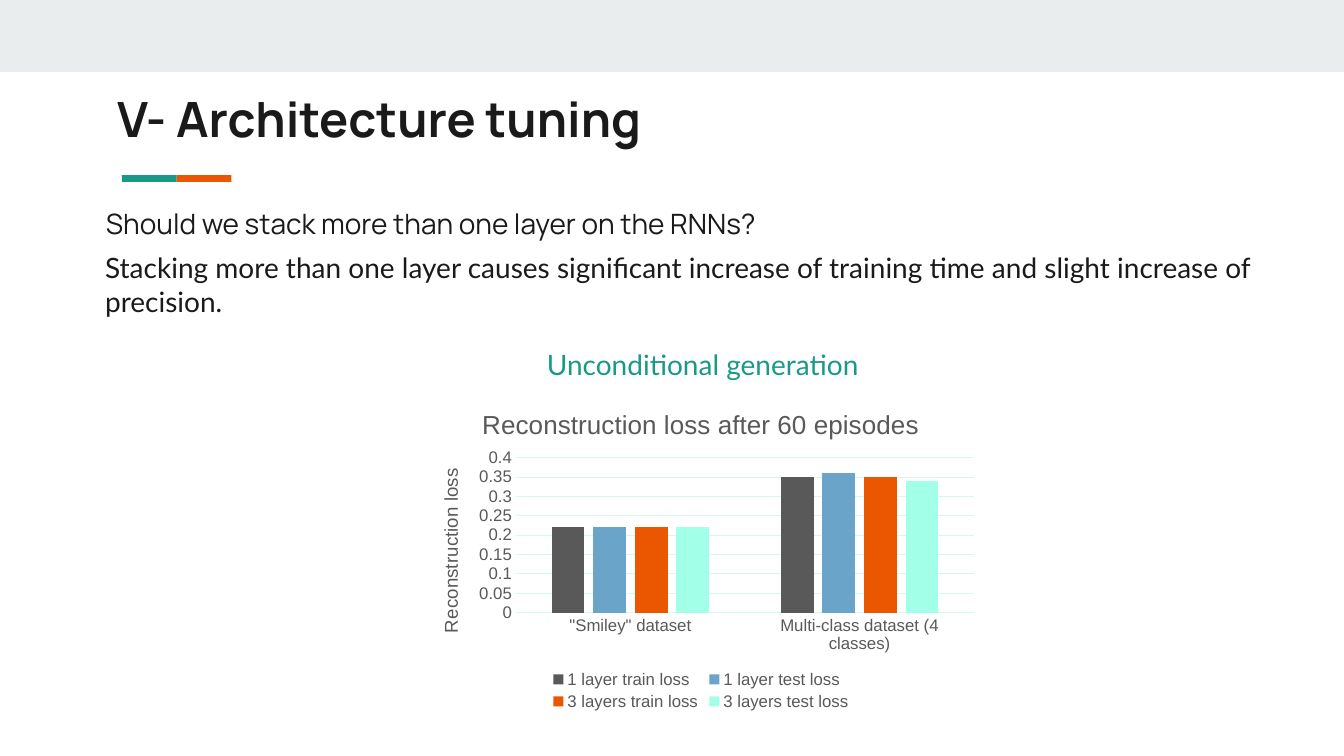
from dataclasses import dataclass

from lxml import etree
from pptx import Presentation
from pptx.chart.data import CategoryChartData
from pptx.dml.color import RGBColor
from pptx.enum.chart import XL_CHART_TYPE, XL_LEGEND_POSITION, XL_TICK_MARK
from pptx.enum.shapes import MSO_SHAPE
from pptx.enum.text import MSO_ANCHOR, PP_ALIGN
from pptx.oxml.ns import qn
from pptx.util import Cm, Pt

CLUSTERED = XL_CHART_TYPE.COLUMN_CLUSTERED
LEGEND_BOTTOM = XL_LEGEND_POSITION.BOTTOM
NO_TICK = XL_TICK_MARK.NONE
RECTANGLE = MSO_SHAPE.RECTANGLE
LEFT, CENTER = PP_ALIGN.LEFT, PP_ALIGN.CENTER
TOP, MIDDLE = MSO_ANCHOR.TOP, MSO_ANCHOR.MIDDLE
TITLE_ONLY = 5


@dataclass(frozen=True)
class Theme:
    """Colours, fonts and type sizes of the deck."""
    band: str = "E9EDEE"
    teal: str = "1A9988"
    orange: str = "EB5600"
    ink: str = "1A1A1A"
    grey: str = "595959"
    blue: str = "6AA4C8"
    mint: str = "A2FFE8"
    grid: str = "D5F8F3"
    heading: str = "Manrope"
    body: str = "Lato"
    chart: str = "Arial"
    title_size: float = 34.7
    body_size: float = 20
    chart_title_size: float = 18.6
    axis_title_size: float = 13.3
    label_size: float = 12


THEME = Theme()
CATEGORIES = ['"Smiley" dataset', "Multi-class dataset (4 classes)"]
LOSSES = [
    ("1 layer train loss", (0.22, 0.35), THEME.grey),
    ("1 layer test loss", (0.22, 0.36), THEME.blue),
    ("3 layers train loss", (0.22, 0.35), THEME.orange),
    ("3 layers test loss", (0.22, 0.34), THEME.mint),
]
PLOT_AREA = {"x": 0.175, "y": 0.207, "w": 0.805, "h": 0.479}
ACCENT_GRID = (2.96, 0.07)


def apply(target, values):
    """Set each named attribute on the target."""
    for name, value in values.items():
        setattr(target, name, value)


def style_font(font, name, size, color, bold=False):
    """Format a font."""
    apply(font, {"name": name, "size": Pt(size), "bold": bold})
    font.color.rgb = RGBColor.from_string(color)


def place(shape, box):
    """Move a shape to a box given in centimetres."""
    apply(shape, dict(zip(("left", "top", "width", "height"), map(Cm, box))))


def add_bar(owner, box, color):
    """Draw a plain filled rectangle on a page or in a group."""
    bar = owner.shapes.add_shape(RECTANGLE, *map(Cm, box))
    bar.shadow.inherit = False
    bar.fill.solid()
    bar.fill.fore_color.rgb = RGBColor.from_string(color)
    bar.line.fill.background()
    return bar


def add_accent(page, box):
    """Draw the two-colour rule as a scaled group of upright bars turned flat."""
    group = page.shapes.add_group_shape()
    span, thickness = ACCENT_GRID
    length = span / 2
    for index, color in ((1, THEME.orange), (0, THEME.teal)):
        left = (index + 0.5) * length - thickness / 2
        bar = add_bar(group, (left, (thickness - length) / 2, thickness, length), color)
        bar.rotation = 270
    place(group, box)
    frame = group._element.grpSpPr.find(qn("a:xfrm"))
    for tag, names, values in (("a:chOff", "xy", (0, 0)),
                               ("a:chExt", ("cx", "cy"), ACCENT_GRID)):
        for name, value in zip(names, values):
            frame.find(qn(tag)).set(name, str(int(Cm(value))))


def fill_text(shape, text, font, size, color, bold=False, align=LEFT, anchor=TOP):
    """Write one formatted paragraph into a shape."""
    frame = shape.text_frame
    apply(frame, {"word_wrap": True, "vertical_anchor": anchor})
    para = frame.paragraphs[0]
    para.alignment = align
    span = para.add_run()
    span.text = text
    style_font(span.font, font, size, color, bold)


def add_title(page, box, text):
    """Fill the title placeholder."""
    title = page.shapes.title
    place(title, box)
    margins = ("margin_left", "margin_top", "margin_right", "margin_bottom")
    apply(title.text_frame, dict.fromkeys(margins, Cm(0.25)))
    fill_text(title, text, THEME.heading, THEME.title_size, THEME.ink, True, anchor=MIDDLE)


def add_text(page, box, text, font, color, align=LEFT):
    """Add a body-sized text box."""
    shape = page.shapes.add_textbox(*map(Cm, box))
    fill_text(shape, text, font, THEME.body_size, color, align=align)


def write_chart_title(title, text, size):
    """Write the title of a chart or an axis."""
    span = title.text_frame.paragraphs[0].add_run()
    span.text = text
    style_font(span.font, THEME.chart, size, THEME.grey)


def set_plot_area(chart):
    """Fix the inner plot area as fractions of the chart."""
    area = chart._chartSpace.chart.plotArea
    for layout in area.findall(qn("c:layout")):
        area.remove(layout)
    layout = etree.Element(qn("c:layout"))
    area.insert(0, layout)
    manual = etree.SubElement(layout, qn("c:manualLayout"))
    values = {"layoutTarget": "inner", "xMode": "edge", "yMode": "edge", **PLOT_AREA}
    for name, value in values.items():
        etree.SubElement(manual, qn(f"c:{name}")).set("val", str(value))


def style_axes(chart):
    """Format both axes and the gridlines."""
    category, value = chart.category_axis, chart.value_axis
    for axis in (category, value):
        apply(axis, {"major_tick_mark": NO_TICK, "minor_tick_mark": NO_TICK})
        style_font(axis.tick_labels.font, THEME.chart, THEME.label_size, THEME.grey)
    apply(value, {"minimum_scale": 0, "maximum_scale": 0.4, "major_unit": 0.05})
    value.format.line.fill.background()
    for line in (category.format.line, value.major_gridlines.format.line):
        line.color.rgb = RGBColor.from_string(THEME.grid)
        line.width = Pt(0.75)
    write_chart_title(value.axis_title, "Reconstruction loss", THEME.axis_title_size)


def add_loss_chart(page, box):
    """Add the clustered column chart of losses."""
    data = CategoryChartData()
    data.categories = CATEGORIES
    for name, values, _ in LOSSES:
        data.add_series(name, values)
    chart = page.shapes.add_chart(CLUSTERED, *map(Cm, box), data).chart
    style_font(chart.font, THEME.chart, THEME.label_size, THEME.grey)
    write_chart_title(chart.chart_title, "Reconstruction loss after 60 episodes",
                      THEME.chart_title_size)
    chart.has_legend = True
    apply(chart.legend, {"position": LEGEND_BOTTOM, "include_in_layout": False})
    style_font(chart.legend.font, THEME.chart, THEME.label_size, THEME.grey)
    plot = chart.plots[0]
    apply(plot, {"gap_width": 219, "overlap": -27, "vary_by_categories": False})
    for series, (_, _, color) in zip(plot.series, LOSSES):
        series.format.fill.solid()
        series.format.fill.fore_color.rgb = RGBColor.from_string(color)
    style_axes(chart)
    set_plot_area(chart)


def build_tuning_slide(deck):
    """Build the architecture tuning slide."""
    page = deck.slides.add_slide(deck.slide_layouts[TITLE_ONLY])
    add_bar(page, (0, 0, 33.87, 1.81), THEME.band)
    add_accent(page, (3.07, 4.41, 2.76, 0.17))
    add_title(page, (2.7, 1.98, 28.47, 1.98), "V- Architecture tuning")
    add_text(page, (2.42, 5.08, 22.15, 1.11),
             "Should we stack more than one layer on the RNNs?", THEME.heading, THEME.ink)
    add_text(page, (2.4, 6.2, 30.61, 1.96),
             "Stacking more than one layer causes significant increase of training time "
             "and slight increase of precision.", THEME.body, THEME.ink)
    add_loss_chart(page, (10.49, 9.85, 14.35, 8.15))
    add_text(page, (10.14, 8.64, 15.14, 1.11),
             "Unconditional generation", THEME.body, THEME.teal, CENTER)


def main():
    """Create and save the deck."""
    deck = Presentation()
    apply(deck, {"slide_width": Cm(33.87), "slide_height": Cm(19.05)})
    build_tuning_slide(deck)
    deck.save("out.pptx")


if __name__ == "__main__":
    main()
